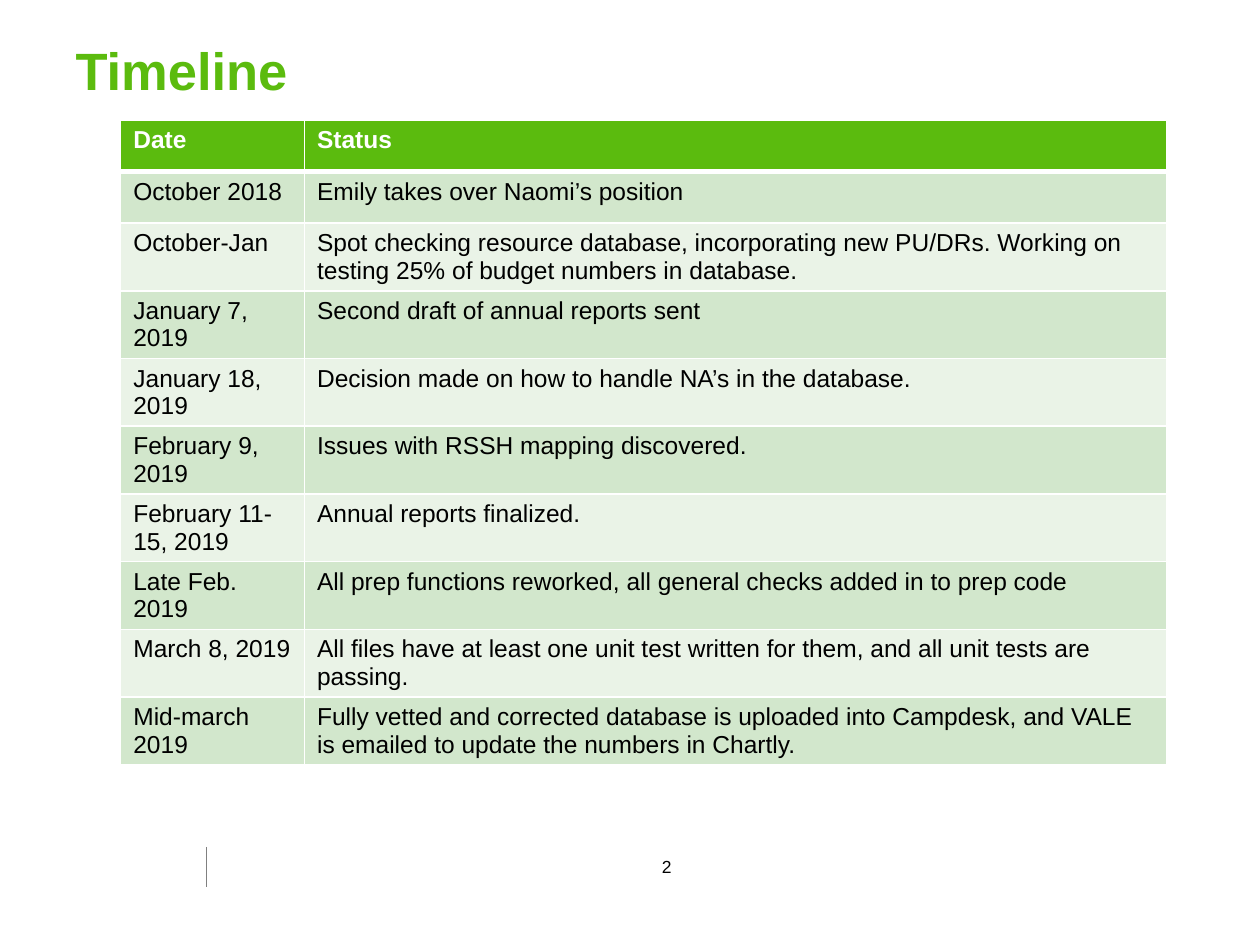
from dataclasses import dataclass

from lxml import etree
from pptx import Presentation
from pptx.dml.color import RGBColor
from pptx.enum import shapes, text
from pptx.oxml import ns
from pptx.util import Pt


@dataclass(frozen=True)
class Theme:
    font: str = "Arial"
    accent: str = "5BBB0E"
    ink: str = "000000"
    paper: str = "FFFFFF"
    rule: str = "808080"
    bands: tuple = ("D2E7CC", "EAF3E7")
    title_size: float = 30
    table_size: float = 14
    number_size: float = 10


THEME = Theme()

MILESTONES = [
    ("Date", "Status"),
    ("October 2018", "Emily takes over Naomi’s position"),
    ("October-Jan", "Spot checking resource database, incorporating new PU/DRs. "
     "Working on testing 25% of budget numbers in database."),
    ("January 7, 2019", "Second draft of annual reports sent"),
    ("January 18, 2019", "Decision made on how to handle NA’s in the database."),
    ("February 9, 2019", "Issues with RSSH mapping discovered."),
    ("February 11-15, 2019", "Annual reports finalized."),
    ("Late Feb. 2019", "All prep functions reworked, all general checks added in to prep code"),
    ("March 8, 2019", "All files have at least one unit test written for them, "
     "and all unit tests are passing."),
    ("Mid-march 2019", "Fully vetted and corrected database is uploaded into Campdesk, "
     "and VALE is emailed to update the numbers in Chartly."),
]


def write_text(frame, words, size, color=THEME.ink, bold=False,
               align=text.PP_ALIGN.LEFT, anchor=text.MSO_ANCHOR.TOP, wrap=True):
    frame.word_wrap = wrap
    frame.vertical_anchor = anchor
    paragraph = frame.paragraphs[0]
    paragraph.alignment = align
    run = paragraph.add_run()
    run.text = words
    run.font.name = THEME.font
    run.font.size = Pt(size)
    run.font.bold = bold
    run.font.color.rgb = RGBColor.from_string(color)


def set_borders(cell, **widths):
    properties = cell._tc.get_or_add_tcPr()
    for side in "LRTB":
        line = etree.SubElement(properties, ns.qn(f"a:ln{side}"), w=str(Pt(widths.get(side, 1))))
        fill = etree.SubElement(line, ns.qn("a:solidFill"))
        etree.SubElement(fill, ns.qn("a:srgbClr"), val=THEME.paper)


def place_title(slide, left, top, width, height):
    title = slide.shapes.title
    title.left, title.top, title.width, title.height = map(Pt, (left, top, width, height))
    write_text(title.text_frame, "Timeline", THEME.title_size, color=THEME.accent,
               bold=True, anchor=text.MSO_ANCHOR.MIDDLE)


def place_timeline(slide, left, top, width, height, date_width=105):
    frame = slide.shapes.add_table(len(MILESTONES), 2, Pt(left), Pt(top), Pt(width), Pt(height))
    table = frame.table
    table.columns[0].width = Pt(date_width)
    table.columns[1].width = Pt(width - date_width)
    for index, milestone in enumerate(MILESTONES):
        header = index == 0
        background = THEME.accent if header else THEME.bands[(index - 1) % 2]
        for cell, words in zip(table.rows[index].cells, milestone):
            set_borders(cell, T=3 if index == 1 else 1, B=3 if header else 1)
            cell.fill.solid()
            cell.fill.fore_color.rgb = RGBColor.from_string(background)
            write_text(cell.text_frame, words, THEME.table_size,
                       color=THEME.paper if header else THEME.ink, bold=header)


def place_footer(slide, left, top, width, height):
    divider = slide.shapes.add_connector(
        shapes.MSO_CONNECTOR.STRAIGHT, Pt(left), Pt(top), Pt(left), Pt(top + height))
    divider.line.color.rgb = RGBColor.from_string(THEME.rule)
    divider.line.width = Pt(0.25)
    etree.SubElement(divider._element.spPr, ns.qn("a:effectLst"))
    number_width, number_height = 27, 19.5
    number = slide.shapes.add_textbox(
        Pt(left + width - number_width), Pt(top + (height - number_height) / 2),
        Pt(number_width), Pt(number_height))
    write_text(number.text_frame, "2", THEME.number_size,
               align=text.PP_ALIGN.CENTER, wrap=False)


def main():
    presentation = Presentation()
    presentation.slide_width, presentation.slide_height = Pt(720), Pt(540)
    slide = presentation.slides.add_slide(presentation.slide_layouts.get_by_name("Title Only"))
    place_title(slide, 36, 18, 645, 44)
    place_timeline(slide, 69, 68.5, 597.5, 295)
    place_footer(slide, 118, 484, 276.5, 23)
    presentation.save("out.pptx")


if __name__ == "__main__":
    main()
